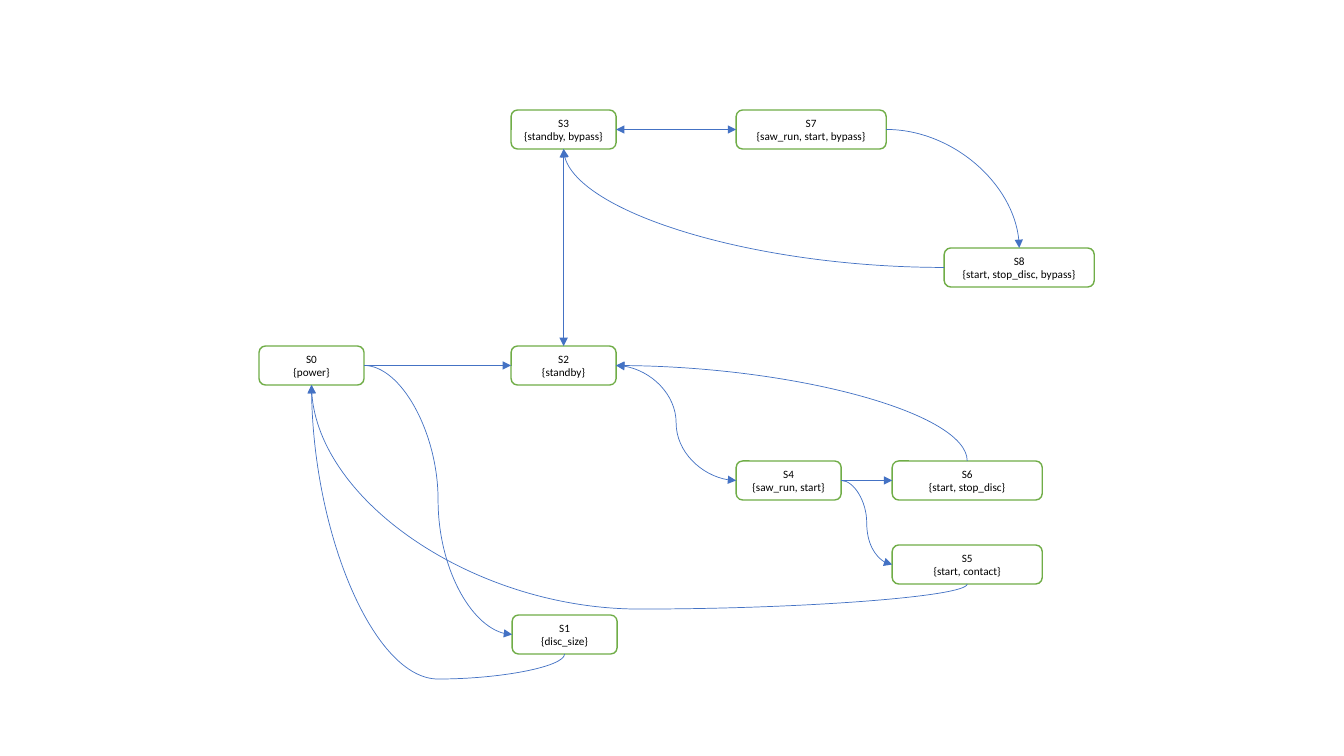
from lxml import etree
from pptx import Presentation
from pptx.dml.color import RGBColor
from pptx.enum.shapes import MSO_CONNECTOR, MSO_SHAPE
from pptx.enum.text import MSO_ANCHOR, PP_ALIGN
from pptx.oxml.ns import qn
from pptx.util import Inches, Pt

ROUNDED = MSO_SHAPE.ROUNDED_RECTANGLE
CURVE = MSO_CONNECTOR.CURVE
CENTER, MIDDLE = PP_ALIGN.CENTER, MSO_ANCHOR.MIDDLE
WHITE = RGBColor(0xFF, 0xFF, 0xFF)
BLACK = RGBColor(0, 0, 0)
GREEN = RGBColor(0x70, 0xAD, 0x47)
BLUE = RGBColor(0x44, 0x72, 0xC4)
FONT, FONT_SIZE = "Calibri", Pt(8)
TOP, LEFT, BOTTOM, RIGHT = range(4)  # connection sites of a box
PX_PER_INCH = 100.8
STATE_H, NARROW, WIDE = 39, 105, 150
LOOP = 25  # how far a curve dips below the box it leaves


def px(n):
    return Inches(n / PX_PER_INCH)


class Diagram:
    def __init__(self, slide):
        self.slide = slide

    def state(self, name, label, x, y, w):
        sp = self.slide.shapes.add_shape(ROUNDED, px(x), px(y), px(w), px(STATE_H))
        sp.shadow.inherit = False
        sp.fill.solid()
        sp.fill.fore_color.rgb = WHITE
        sp.line.color.rgb = GREEN
        sp.line.width = Pt(1)
        tf = sp.text_frame
        tf.vertical_anchor = MIDDLE
        tf.margin_left = tf.margin_right = tf.margin_top = tf.margin_bottom = 0
        for i, text in enumerate((name, label)):
            p = tf.add_paragraph() if i else tf.paragraphs[0]
            p.alignment = CENTER
            r = p.add_run()
            r.text = text
            r.font.name, r.font.size = FONT, FONT_SIZE
            r.font.color.rgb = BLACK
        return sp

    def arrow(self, start, start_site, end, end_site, both=False):
        c = self.slide.shapes.add_connector(CURVE, 0, 0, 0, 0)
        c.begin_connect(start, start_site)
        c.end_connect(end, end_site)
        c.line.color.rgb = BLUE
        c.line.width = Pt(0.5)
        self.bend(c, start_site, end_site)
        # Arrowheads, and no shadow
        ln = c.line._get_or_add_ln()
        for tag in ("a:headEnd", "a:tailEnd") if both else ("a:tailEnd",):
            etree.SubElement(ln, qn(tag), type="triangle")
        etree.SubElement(c._element.spPr, qn("a:effectLst"))

    def bend(self, c, start_site, end_site):
        """Turn the curve so that it leaves and enters at the given sides."""
        dx, dy = c.end_x - c.begin_x, c.end_y - c.begin_y
        mid_x, mid_y = (c.begin_x + c.end_x) // 2, (c.begin_y + c.end_y) // 2
        vertical = start_site in (TOP, BOTTOM)
        along, across = (dy, -dx) if vertical else (dx, dy)
        c.width, c.height = abs(along), abs(across)
        c.left, c.top = mid_x - c.width // 2, mid_y - c.height // 2
        xfrm = c._element.spPr.xfrm
        xfrm.rot = 90 if vertical else 0
        xfrm.flipH, xfrm.flipV = along < 0, across < 0
        geom = c._element.spPr.find(qn("a:prstGeom"))
        if vertical != (end_site in (TOP, BOTTOM)):
            geom.set("prst", "curvedConnector2")
        elif start_site == end_site:
            share = round(-px(LOOP) / abs(along) * 100000)
            etree.SubElement(geom.find(qn("a:avLst")), qn("a:gd"),
                             name="adj1", fmla=f"val {share}")


prs = Presentation()
prs.slide_width, prs.slide_height = Inches(13.33), Inches(7.5)
diagram = Diagram(prs.slides.add_slide(prs.slide_layouts[6]))

# States: name, label, left, top, width
STATES = [
    ("S0", "{power}", 259, 346, NARROW),
    ("S1", "{disc_size}", 512, 615, NARROW),
    ("S2", "{standby}", 511, 346, NARROW),
    ("S3", "{standby, bypass}", 511, 110, NARROW),
    ("S4", "{saw_run, start}", 736, 461, NARROW),
    ("S5", "{start, contact}", 892, 545, WIDE),
    ("S6", "{start, stop_disc}", 892, 461, WIDE),
    ("S7", "{saw_run, start, bypass}", 736, 110, WIDE),
    ("S8", "{start, stop_disc, bypass}", 944, 248, WIDE),
]
states = {row[0]: diagram.state(*row) for row in STATES}

# Transitions: from, side, to, side, two-way
TRANSITIONS = [
    ("S0", RIGHT, "S1", LEFT, False),
    ("S0", RIGHT, "S2", LEFT, False),
    ("S1", BOTTOM, "S0", BOTTOM, False),
    ("S2", TOP, "S3", BOTTOM, True),
    ("S2", RIGHT, "S4", LEFT, True),
    ("S4", RIGHT, "S5", LEFT, False),
    ("S4", RIGHT, "S6", LEFT, False),
    ("S5", BOTTOM, "S0", BOTTOM, False),
    ("S6", TOP, "S2", RIGHT, False),
    ("S3", RIGHT, "S7", LEFT, True),
    ("S7", RIGHT, "S8", TOP, False),
    ("S8", LEFT, "S3", BOTTOM, False),
]
for source, out_side, target, in_side, both in TRANSITIONS:
    diagram.arrow(states[source], out_side, states[target], in_side, both)

prs.save("out.pptx")
